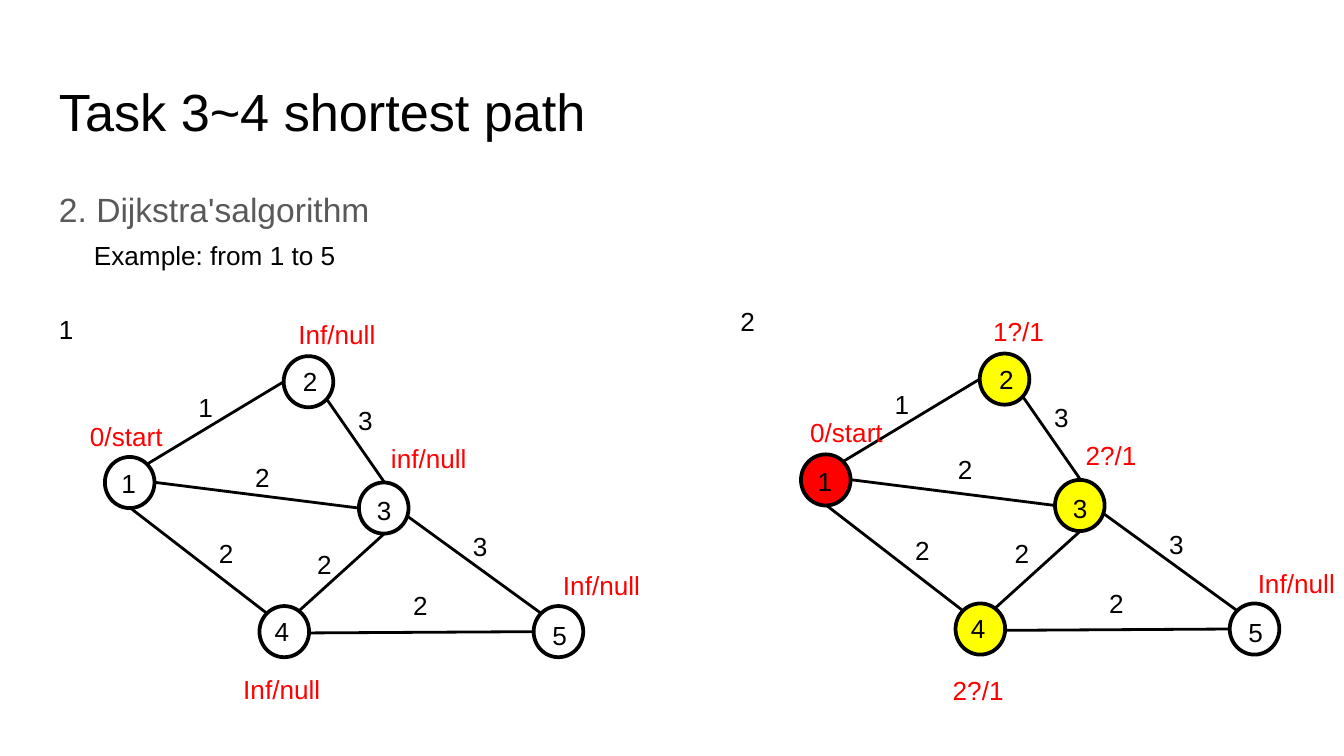
import pptx
import pptx.util
import pptx.dml.color
import pptx.enum.shapes
import pptx.enum.text
import lxml.etree
from pptx.util import Pt

COLORS = {"black": "000000", "grey": "595959", "white": "FFFFFF",
          "red": "FF0000", "yellow": "FFFF00"}

# Graph layout in points, relative to the corner of a graph box
NODE_W, NODE_H = 26.6, 27.4
NODES = {1: (0, 54), 2: (95.8, 0), 4: (82.8, 133.9),
         3: (136.1, 67.7), 5: (229.7, 133.9)}
DIGIT_NUDGES = {1: (1.8, 2.2), 2: (3.2, 1.5), 3: (2.5, 2.9),
                4: (1.1, 1.4), 5: (2.9, 3.6)}

# (from node, to node): start, end, weight, place of the weight
EDGES = {
    (1, 2): ((23, 57.6), (95.8, 13.7), "1", (43, 15.1)),
    (1, 4): ((13.7, 81.4), (86.4, 137.5), "2", (54, 93.6)),
    (2, 3): ((149.8, 67.7), (118.8, 23), "3", (128.6, 22.3)),
    (1, 3): ((27.4, 67.7), (136.1, 81.4), "2", (73.4, 52.6)),
    (4, 5): ((110.2, 148.3), (229.7, 147.6), "2", (158, 121.7)),
    (3, 5): ((162, 85.7), (233.3, 137.5), "3", (190.1, 90)),
    (3, 4): ((104.4, 136.1), (149.8, 95), "2", (106.6, 99.4)),
}

# One entry per step; states hold distance/previous node, place and width
STEPS = [
    {"number": "1", "number_at": (-31.7, -26.6), "box": (56.2, 190.8),
     "fills": {}, "weight_shifts": {},
     "states": [("0/start", -15.1, 31, 54), ("Inf/null", 96.5, -23.8, 56.2),
                ("inf/null", 146.2, 42.5, 55.4),
                ("Inf/null", 238.3, 110.9, 56.2),
                ("Inf/null", 67, 166.3, 56.2)]},
    {"number": "2", "number_at": (-39.6, -29.5), "box": (429.1, 189.4),
     "fills": {1: "red", 2: "yellow", 3: "yellow", 4: "yellow"},
     "weight_shifts": {(1, 3): (3.6, -2.9), (3, 4): (0.7, -4.3)},
     "states": [("0/start", -2.2, 30.2, 54), ("1?/1", 95.8, -23.8, 41.8),
                ("2?/1", 145.4, 42.5, 41.8),
                ("Inf/null", 237.6, 110.9, 56.2),
                ("2?/1", 74.2, 168.5, 41.8)]},
]


def rgb(name):
    return pptx.dml.color.RGBColor.from_string(COLORS[name])


def add_text(s, text, x, y, w=22.3, h=24.5, size=14, color="black",
             inset=3.6, spacing=None):
    sp = s.shapes.add_textbox(Pt(x), Pt(y), Pt(w), Pt(h))
    tf = sp.text_frame
    tf.word_wrap = True
    tf.vertical_anchor = pptx.enum.text.MSO_ANCHOR.TOP
    tf.margin_left = tf.margin_right = Pt(7.2)
    tf.margin_top = tf.margin_bottom = Pt(inset)
    p = tf.paragraphs[0]
    if spacing:
        p.line_spacing = spacing
    r = p.add_run()
    r.text = text
    r.font.name = "Arial"
    r.font.size = Pt(size)
    r.font.color.rgb = rgb(color)


def add_node(s, x, y, fill):
    sp = s.shapes.add_shape(pptx.enum.shapes.MSO_SHAPE.OVAL,
                            Pt(x), Pt(y), Pt(NODE_W), Pt(NODE_H))
    sp.shadow.inherit = False
    sp.fill.solid()
    sp.fill.fore_color.rgb = rgb(fill)
    sp.line.color.rgb = rgb("black")
    sp.line.width = Pt(2)


def add_edge(s, x1, y1, x2, y2):
    line = s.shapes.add_connector(pptx.enum.shapes.MSO_CONNECTOR.STRAIGHT,
                                  Pt(x1), Pt(y1), Pt(x2), Pt(y2))
    line.line.color.rgb = rgb("black")
    line.line.width = Pt(1.5)
    lxml.etree.SubElement(line._element.spPr,
                          pptx.oxml.ns.qn("a:effectLst"))


def add_heading(s, x, y, w):
    add_text(s, "Task 3~4 shortest path", x, y, w, 45.4, size=28, inset=7.2)
    add_text(s, "2. Dijkstra'salgorithm", x, y + 55.4, w, 28.8, size=18,
             color="grey", inset=7.2, spacing=1.15)
    add_text(s, "Example: from 1 to 5", x + 18.7, y + 89.3, 144.7)


def add_graph(s, step):
    left, top = step["box"]

    # Nodes, then edges, so that lines meet the outlines
    for node, (x, y) in NODES.items():
        add_node(s, left + x, top + y, step["fills"].get(node, "white"))
    for (x1, y1), (x2, y2), _, _ in EDGES.values():
        add_edge(s, left + x1, top + y1, left + x2, top + y2)

    # Node numbers and edge weights
    for node, (x, y) in NODES.items():
        dx, dy = DIGIT_NUDGES[node]
        add_text(s, str(node), left + x + dx, top + y + dy)
    for edge, (_, _, weight, (x, y)) in EDGES.items():
        dx, dy = step["weight_shifts"].get(edge, (0, 0))
        add_text(s, weight, left + x + dx, top + y + dy)

    # Node states and step number
    for text, x, y, w in step["states"]:
        add_text(s, text, left + x, top + y, w, color="red")
    x, y = step["number_at"]
    add_text(s, step["number"], left + x, top + y)


def main():
    prs = pptx.Presentation()
    prs.slide_width, prs.slide_height = Pt(720), Pt(405)
    s = prs.slides.add_slide(prs.slide_layouts[6])
    add_heading(s, 24.5, 35.3, 671)
    for step in STEPS:
        add_graph(s, step)
    prs.save("out.pptx")


if __name__ == "__main__":
    main()
